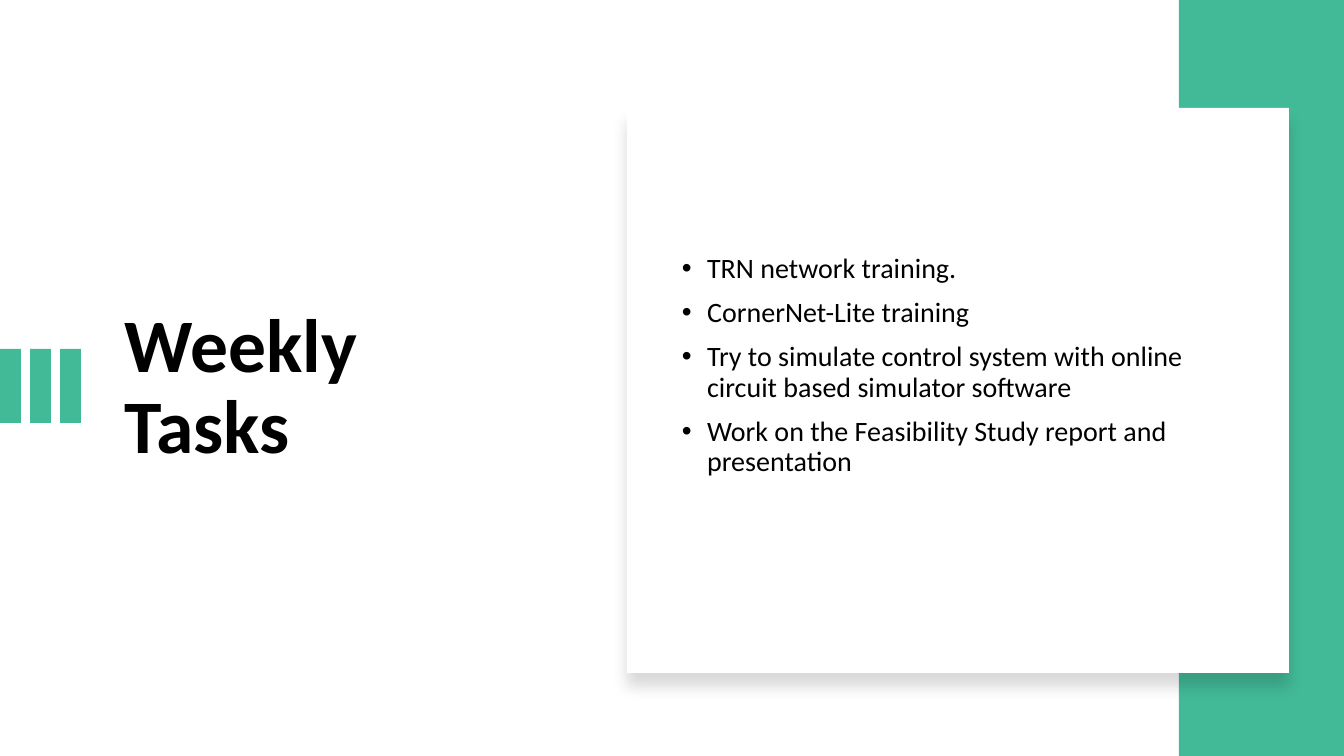
"""Build the Weekly Tasks slide: a title, green accents and a card with a list."""
from lxml import etree
from pptx import Presentation
from pptx.dml.color import RGBColor
from pptx.enum.shapes import MSO_SHAPE
from pptx.enum.text import MSO_ANCHOR
from pptx.oxml import parse_xml
from pptx.oxml.ns import nsdecls, qn
from pptx.util import Pt

RECT = MSO_SHAPE.RECTANGLE
MIDDLE = MSO_ANCHOR.MIDDLE
PX = 914400 / 100.8
COLORS = {"green": "42BA97", "white": "FFFFFF", "black": "000000"}

deck = Presentation()
deck.slide_width, deck.slide_height = round(1344 * PX), round(756 * PX)
slide = deck.slides.add_slide(deck.slide_layouts[6])


def add_rect(box, color):
    rect = slide.shapes.add_shape(RECT, *[round(n * PX) for n in box])
    rect.shadow.inherit = False
    rect.fill.solid()
    rect.fill.fore_color.rgb = RGBColor.from_string(COLORS[color])
    rect.line.fill.background()
    return rect


def add_text(box, lines, inset, style):
    frame = slide.shapes.add_textbox(*[round(n * PX) for n in box]).text_frame
    frame.word_wrap = True
    frame.vertical_anchor = MIDDLE
    for side, size in inset.items():
        setattr(frame, side, round(size * PX))
    frame.text = "\n".join(lines)
    for para in frame.paragraphs:
        para.line_spacing = 0.9
        font = para.runs[0].font
        font.color.rgb = RGBColor.from_string(COLORS["black"])
        for key, value in style.items():
            setattr(font, key, value)
    return frame


add_text((115, 147, 429, 483), ["Weekly Tasks"], {"margin_right": 20},
         {"name": "Calibri", "size": Pt(54), "bold": True})

for i in range(3):
    add_rect((i * 30, 349, 21, 74), "green")
add_rect((1179, 0, 165, 756), "green")

card = add_rect((627, 108, 662, 565), "white")
effects = card._element.spPr.find(qn("a:effectLst"))
effects.append(parse_xml(
    f'<a:outerShdw {nsdecls("a")} blurRad="{Pt(11)}" dist="{Pt(10)}" '
    'dir="5400000" algn="t" rotWithShape="0">'
    f'<a:srgbClr val="{COLORS["black"]}"><a:alpha val="15000"/></a:srgbClr>'
    '</a:outerShdw>'))

tasks = [
    "TRN network training.",
    "CornerNet-Lite training",
    "Try to simulate control system with online circuit based simulator software",
    "Work on the Feasibility Study report and presentation",
]
body = add_text((672, 147, 580, 483), tasks, {"margin_bottom": 50},
                {"name": "Calibri", "size": Pt(20)})
for para in body.paragraphs:
    para.space_before = Pt(10)
    props = para._p.get_or_add_pPr()
    props.set("marL", str(Pt(18)))
    props.set("indent", str(-Pt(18)))
    etree.SubElement(props, qn("a:buFont")).set("typeface", "Arial")
    etree.SubElement(props, qn("a:buChar")).set("char", "•")

deck.save("out.pptx")
